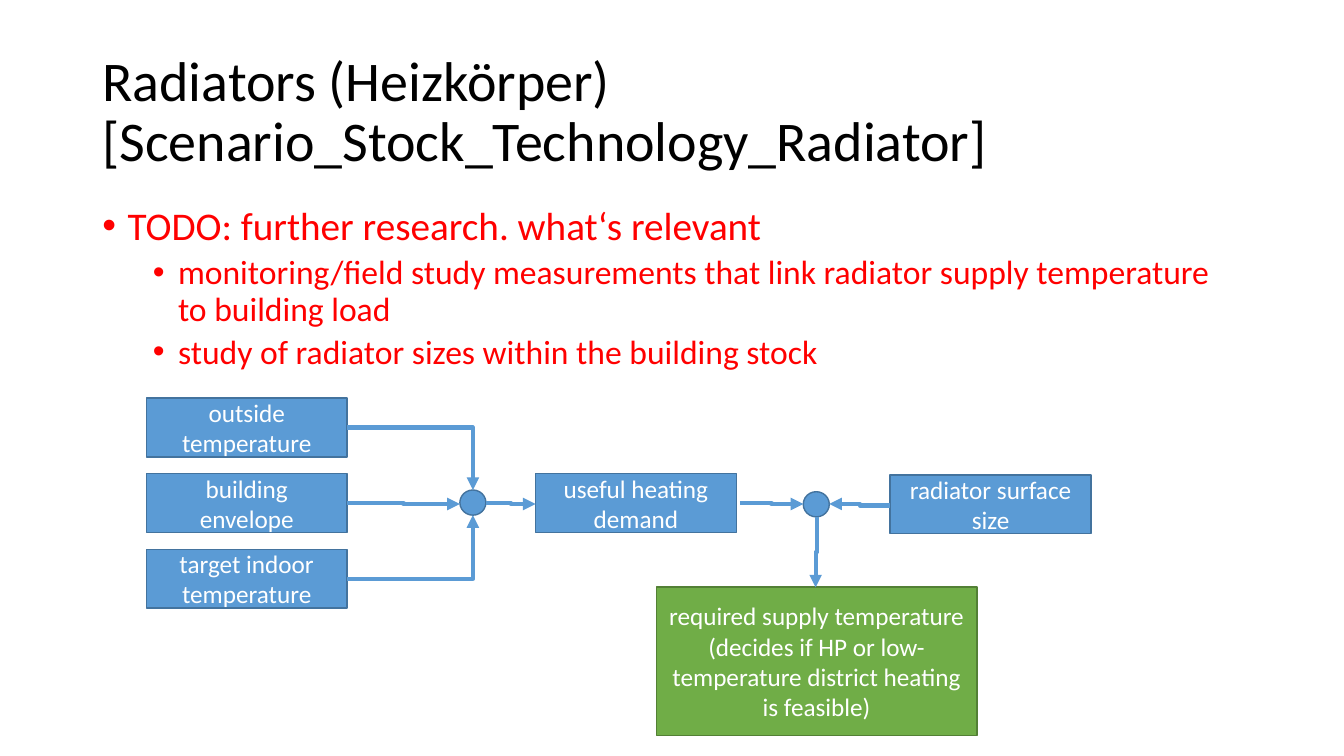
"""Build the radiator slide with its flow of heating factors."""
from dataclasses import dataclass

from lxml import etree
from pptx import Presentation
from pptx.dml.color import RGBColor
from pptx.enum.shapes import MSO_CONNECTOR, MSO_SHAPE
from pptx.enum.text import MSO_ANCHOR, MSO_AUTO_SIZE, PP_ALIGN
from pptx.oxml.ns import qn
from pptx.util import Pt

ELBOW = MSO_CONNECTOR.ELBOW
RECT, OVAL = MSO_SHAPE.RECTANGLE, MSO_SHAPE.OVAL
TOP, MIDDLE = MSO_ANCHOR.TOP, MSO_ANCHOR.MIDDLE
LEFT, CENTER = PP_ALIGN.LEFT, PP_ALIGN.CENTER
FIXED = MSO_AUTO_SIZE.NONE


@dataclass(frozen=True)
class Theme:
    """Colours, font and type sizes."""
    font: str = "Calibri"
    ink: str = "000000"
    alert: str = "FF0000"
    paper: str = "FFFFFF"
    blue: str = "5B9BD5"
    navy: str = "43739E"
    green: str = "70AD47"
    moss: str = "538035"
    head: int = 40
    levels: tuple = (28, 24)
    label: int = 18


def write(par, text, *, font, size, color, align=LEFT, spacing=None, before=0):
    """Fill a paragraph with formatted text."""
    par.text = text
    par.alignment = align
    par.line_spacing = spacing
    par.space_before = Pt(before)
    for run in par.runs:
        run.font.name = font
        run.font.size = Pt(size)
        run.font.color.rgb = RGBColor.from_string(color)


class Board:
    """Draw styled elements on one slide."""

    def __init__(self, slide, theme):
        """Keep the slide and its theme."""
        self.slide = slide
        self.theme = theme

    def place(self, holder, area, anchor):
        """Move a placeholder and return its text frame."""
        holder.left, holder.top, holder.width, holder.height = map(Pt, area)
        frame = holder.text_frame
        frame.word_wrap = True
        frame.auto_size = FIXED
        frame.vertical_anchor = anchor
        return frame

    def title(self, text, area):
        """Set the slide title."""
        look = self.theme
        frame = self.place(self.slide.shapes.title, area, MIDDLE)
        write(frame.paragraphs[0], text, font=look.font, size=look.head,
              color=look.ink, spacing=0.9)

    def bullets(self, items, area):
        """Fill the body with pairs of level and text."""
        look = self.theme
        frame = self.place(self.slide.placeholders[1], area, TOP)
        for i, (level, text) in enumerate(items):
            par = frame.add_paragraph() if i else frame.paragraphs[0]
            par.level = level
            write(par, text, font=look.font, size=look.levels[level],
                  color=look.alert, spacing=0.9, before=5 if level else 10)
            props = par._p.get_or_add_pPr()
            props.set("marL", str(Pt(18 + 36 * level)))
            props.set("indent", str(-Pt(18)))
            etree.SubElement(props, qn("a:buFont"), typeface="Arial")
            etree.SubElement(props, qn("a:buChar"), char="•")

    def shape(self, kind, area, fill, edge, text=""):
        """Add a filled shape with an optional label."""
        look = self.theme
        item = self.slide.shapes.add_shape(kind, *map(Pt, area))
        item.shadow.inherit = False
        item.fill.solid()
        item.fill.fore_color.rgb = RGBColor.from_string(fill)
        item.line.color.rgb = RGBColor.from_string(edge)
        item.line.width = Pt(1)
        if text:
            frame = item.text_frame
            frame.word_wrap = True
            frame.vertical_anchor = MIDDLE
            write(frame.paragraphs[0], text, font=look.font, size=look.label,
                  color=look.paper, align=CENTER)

    def box(self, text, left, top):
        """Add a blue factor box."""
        self.shape(RECT, (left, top, BOX_W, BOX_H), self.theme.blue,
                   self.theme.navy, text)

    def node(self, left, top):
        """Add a small junction circle."""
        self.shape(OVAL, (left, top, NODE_W, NODE_H), self.theme.blue,
                   self.theme.navy)

    def arrow(self, start, end, bend=3, turn=0):
        """Add an elbow arrow, turned clockwise by some degrees."""
        line = self.slide.shapes.add_connector(ELBOW, *map(Pt, start + end))
        line.line.color.rgb = RGBColor.from_string(self.theme.blue)
        line.line.width = Pt(3)
        props = line._element.spPr
        props.find(qn("a:prstGeom")).set("prst", f"bentConnector{bend}")
        if turn:
            props.find(qn("a:xfrm")).set("rot", str(turn * 60000))
        etree.SubElement(props.find(qn("a:ln")), qn("a:tailEnd"), type="triangle")
        etree.SubElement(props, qn("a:effectLst"))


BOX_W, BOX_H = 143.5, 42
NODE_W, NODE_H = 18.6, 18
FIRST, STEP = 284.4, 54
INPUT_X, DEMAND_X, SIZE_X = 104.5, 382.5, 635.8
JOIN_X, JOIN_Y = 328.5, 350
MIX_X, MIX_Y = 573.8, 351.2
AXIS = 360


def main():
    """Compose and save the slide."""
    deck = Presentation()
    deck.slide_width, deck.slide_height = Pt(960), Pt(540)
    theme = Theme()
    board = Board(deck.slides.add_slide(deck.slide_layouts[1]), theme)

    board.title("Radiators (Heizkörper)\v[Scenario_Stock_Technology_Radiator]",
                (66, 28.8, 828, 104.4))
    board.bullets([
        (0, "TODO: further research. what‘s relevant"),
        (1, "monitoring/field study measurements that link radiator supply "
            "temperature to building load"),
        (1, "study of radiator sizes within the building stock"),
    ], (66, 143.8, 828, 342.6))

    for i, text in enumerate(("outside temperature", "building envelope",
                              "target indoor temperature")):
        board.box(text, INPUT_X, FIRST + i * STEP)
    board.box("useful heating demand", DEMAND_X, FIRST + STEP)
    board.box("radiator surface size", SIZE_X, FIRST + STEP + 0.9)
    board.node(JOIN_X, JOIN_Y)
    board.node(MIX_X, MIX_Y)
    board.shape(RECT, (468.8, 419.2, 229, 106), theme.green, theme.moss,
                "required supply temperature (decides if HP or "
                "low-temperature district heating is feasible)")

    edge = INPUT_X + BOX_W
    mid = FIRST + STEP + BOX_H / 2
    join = JOIN_X + NODE_W / 2
    board.arrow((edge, mid - STEP), (join, JOIN_Y), bend=2)
    board.arrow((edge, mid + STEP), (join, JOIN_Y + NODE_H), bend=2)
    for start, end in (((edge, mid), (JOIN_X, AXIS)),
                       ((JOIN_X + NODE_W, mid), (DEMAND_X, AXIS)),
                       ((528.5, mid), (MIX_X, AXIS)),
                       ((SIZE_X, 361.2), (MIX_X + NODE_W, AXIS))):
        board.arrow(start, end)
    board.arrow((558, 393.8), (608.4, 395), turn=90)

    deck.save("out.pptx")


if __name__ == "__main__":
    main()
